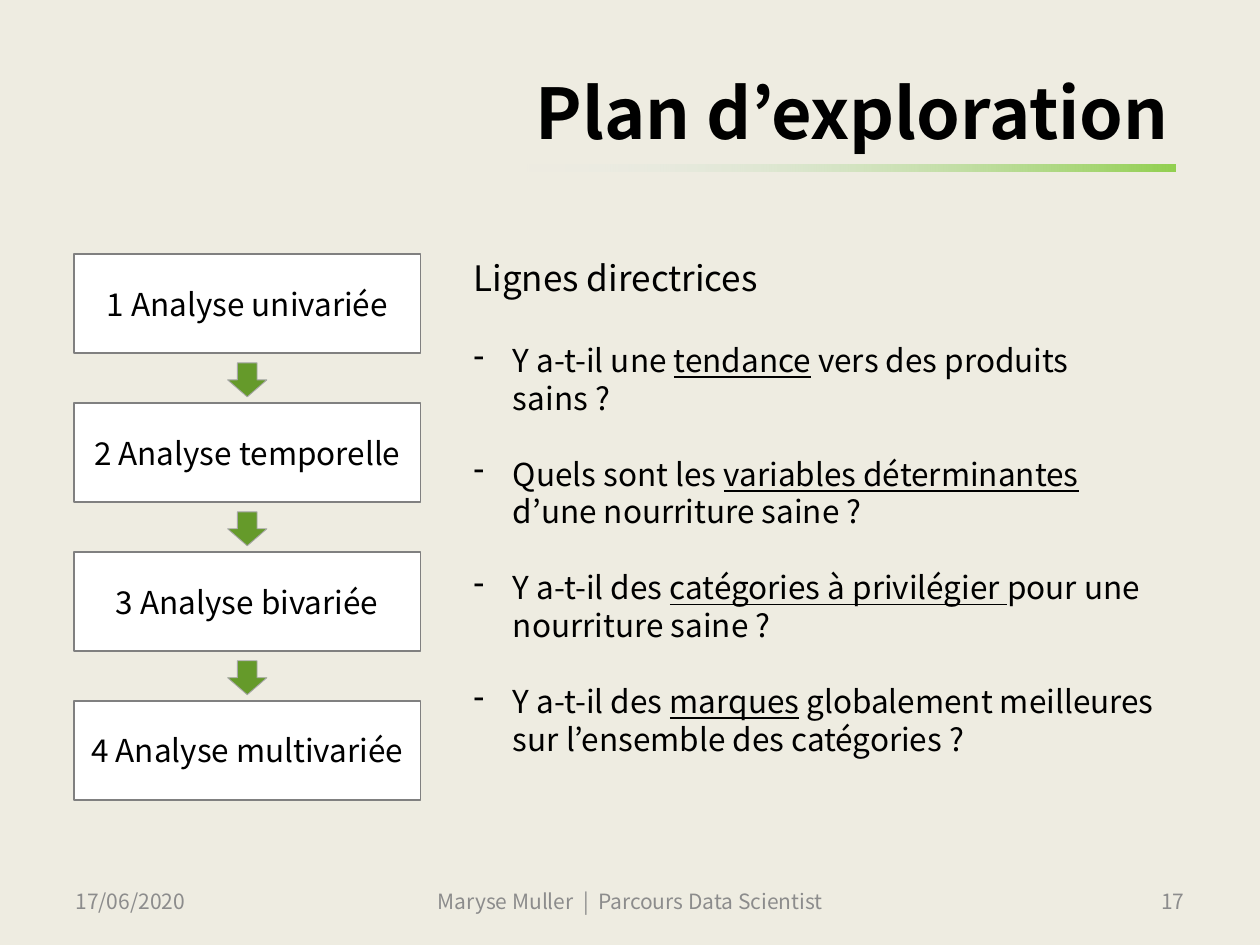
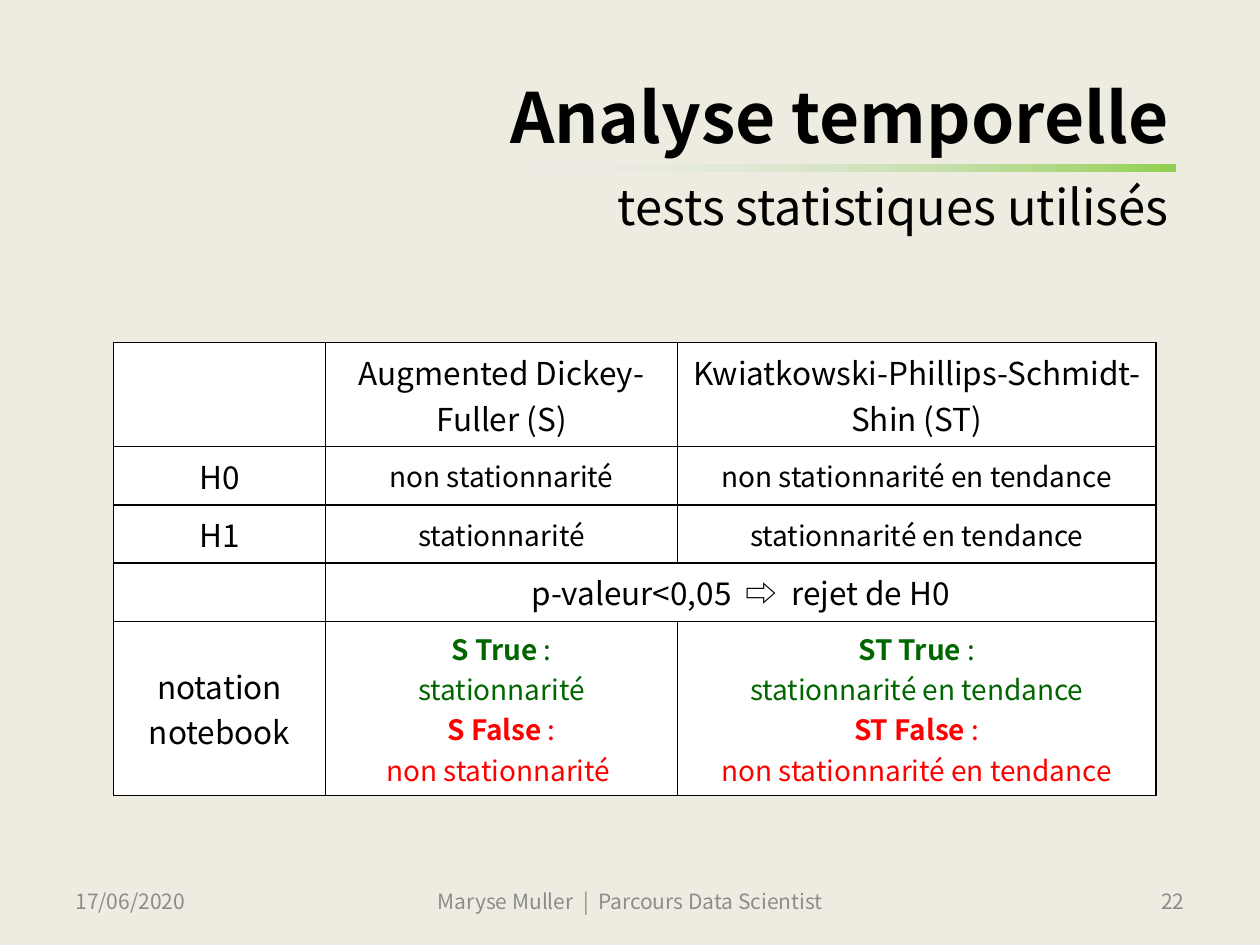
"""Build two slides on the exploration plan and the tests for time series."""
from dataclasses import dataclass
from typing import Any, Sequence

from pptx import Presentation
from pptx.dml.color import RGBColor
from pptx.enum.shapes import MSO_SHAPE as Form
from pptx.enum.text import MSO_ANCHOR as Anchor, PP_ALIGN as Align
from pptx.oxml.ns import qn
from pptx.slide import Slide
from pptx.util import Pt
from lxml.etree import SubElement as Sub

FONT = "Noto Sans CJK JP"
BLACK = RGBColor(0x00, 0x00, 0x00)
WHITE = RGBColor(0xFF, 0xFF, 0xFF)
CREAM = RGBColor(0xEE, 0xEC, 0xE1)
MUTED = RGBColor(0x8C, 0x8C, 0x8C)
GREY = RGBColor(0x80, 0x80, 0x80)
SILVER = RGBColor(0xA6, 0xA6, 0xA6)
LIME = RGBColor(0x92, 0xD0, 0x50)
PALE = RGBColor(0xE1, 0xE8, 0xF5)
LEAF = RGBColor(0x65, 0x9A, 0x2A)
GREEN = RGBColor(0x00, 0x66, 0x00)
RED = RGBColor(0xFF, 0x00, 0x00)


@dataclass(frozen=True)
class Bit:
    """A run of text and its look."""
    text: str
    size: float = 18
    color: RGBColor = BLACK
    bold: bool = False
    under: bool = False


@dataclass(frozen=True)
class Line:
    """A paragraph made of runs."""
    bits: Sequence[Bit]
    align: Any = Align.CENTER
    before: float = 0
    dash: bool = False


@dataclass(frozen=True)
class Box:
    """A frame on the slide, in points."""
    left: float
    top: float
    width: float
    height: float

    def place(self) -> list:
        """Return the frame as lengths."""
        return [Pt(v) for v in (self.left, self.top, self.width, self.height)]


RULE = Box(301, 94.3, 371, 4)
BODY = Box(263.5, 143.3, 408.5, 273.6)
GRID = Box(65, 195.8, 595.6, 259)
STEP = Box(42.3, 145.1, 198, 56.8)
ARROW = Box(130.1, 207.4, 22.4, 19.4)
PITCH = 85.1
COLS = (121, 201.2, 273.4)
ROWS = (59.4, 33.3, 33.3, 33.3, 99.5)
FOOT = (
    (Box(36, 500.5, 168, 28.8), Align.LEFT),
    (Box(227, 500.5, 266.4, 28.8), Align.CENTER),
    (Box(516, 500.5, 168, 28.8), Align.RIGHT),
)

STEPS = ("1 Analyse univariée", "2 Analyse temporelle",
         "3 Analyse bivariée", "4 Analyse multivariée")
ASKS = (
    ("Y a-t-il une ", "tendance", " vers des produits sains ?"),
    ("Quels sont les ", "variables déterminantes ", "d’une nourriture saine ?"),
    ("Y a-t-il des ", "catégories à privilégier ", "pour une nourriture saine ?"),
    ("Y a-t-il des ", "marques",
     " globalement meilleures sur l’ensemble des catégories ?"),
)


def write(frame: Any, lines: Sequence[Line]) -> None:
    """Fill a text frame with lines, run by run."""
    frame.word_wrap = True
    for i, line in enumerate(lines):
        para = frame.add_paragraph() if i else frame.paragraphs[0]
        para.alignment = line.align
        if line.before:
            para.space_before = Pt(line.before)
        if line.dash:
            prop = para._p.get_or_add_pPr()
            prop.set("marL", str(Pt(22.5)))
            prop.set("indent", str(Pt(-22.5)))
            Sub(prop, qn("a:buChar")).set("char", "-")
        for bit in line.bits:
            run = para.add_run()
            run.text = bit.text
            font = run.font
            font.name, font.size = FONT, Pt(bit.size)
            font.bold, font.underline = bit.bold, bit.under
            font.color.rgb = bit.color


def label(slide: Slide, box: Box, lines: Sequence[Line],
          anchor: Any = Anchor.MIDDLE) -> None:
    """Add a text box."""
    frame = slide.shapes.add_textbox(*box.place()).text_frame
    frame.vertical_anchor = anchor
    write(frame, lines)


def block(slide: Slide, form: Any, box: Box, fill: RGBColor,
          edge: RGBColor, width: float) -> Any:
    """Add a filled shape with an outline."""
    shape = slide.shapes.add_shape(form, *box.place())
    shape.shadow.inherit = False
    shape.fill.solid()
    shape.fill.fore_color.rgb = fill
    shape.line.color.rgb = edge
    shape.line.width = Pt(width)
    return shape


def rule(slide: Slide) -> None:
    """Add the fading rule under the title."""
    bar = slide.shapes.add_shape(Form.RECTANGLE, *RULE.place())
    bar.shadow.inherit = False
    bar.line.fill.background()
    bar.fill.gradient()
    bar.fill.gradient_angle = 180
    for stop, color in zip(bar.fill.gradient_stops, (LIME, PALE)):
        stop.color.rgb = color
    last = bar._element.spPr.findall(".//" + qn("a:srgbClr"))[-1]
    Sub(last, qn("a:alpha")).set("val", "0")


def base(deck: Any, box: Box, title: Sequence[Line], page: str) -> Slide:
    """Add a slide with its ground, title, rule and footer."""
    slide = deck.slides.add_slide(deck.slide_layouts[6])
    slide.background.fill.solid()
    slide.background.fill.fore_color.rgb = CREAM
    label(slide, box, title)
    foot = ("17/06/2020", "Maryse Muller  |  Parcours Data Scientist", page)
    for (spot, align), text in zip(FOOT, foot):
        label(slide, spot, [Line([Bit(text, 12, MUTED)], align)])
    rule(slide)
    return slide


def plan(deck: Any) -> None:
    """Build the slide with the steps and the guiding questions."""
    title = [Line([Bit("Plan d’exploration", 40, bold=True)], Align.RIGHT)]
    slide = base(deck, Box(56.2, 21.6, 618.5, 84.2), title, "17")
    lines = [Line([Bit("Lignes directrices", 20)], Align.LEFT)]
    for i, (head, key, tail) in enumerate(ASKS):
        bits = [Bit(head), Bit(key, under=True), Bit(tail)]
        lines.append(Line(bits, Align.LEFT, 21.7 if i else 24, True))
    label(slide, BODY, lines, Anchor.TOP)
    for i, text in enumerate(STEPS):
        box = Box(STEP.left, STEP.top + i * PITCH, STEP.width, STEP.height)
        shape = block(slide, Form.RECTANGLE, box, WHITE, GREY, 1)
        shape.text_frame.vertical_anchor = Anchor.MIDDLE
        write(shape.text_frame, [Line([Bit(text)])])
    for i in range(len(STEPS) - 1):
        box = Box(ARROW.left, ARROW.top + i * PITCH, ARROW.width, ARROW.height)
        block(slide, Form.DOWN_ARROW, box, LEAF, SILVER, 0.5)


def plain(text: str, size: float = 18) -> list[Line]:
    """Return one centred line."""
    return [Line([Bit(text, size)])] if text else []


def result(mark: str, yes: str, no: str) -> list[Line]:
    """Return the notes for a test that holds or fails."""
    lines = []
    for word, text, color in (("True", yes, GREEN), ("False", no, RED)):
        lines.append(Line([Bit(f"{mark} {word}", 16, color, True),
                           Bit(" :", 16, color)]))
        lines.append(Line([Bit(text, 16, color)]))
    return lines


def style(cell: Any) -> None:
    """Give a cell its borders and fill."""
    prop = cell._tc.get_or_add_tcPr()
    for side in ("lnL", "lnR", "lnT", "lnB"):
        edge = Sub(prop, qn(f"a:{side}"))
        edge.set("w", str(Pt(1)))
        Sub(Sub(edge, qn("a:solidFill")), qn("a:srgbClr")).set("val", str(BLACK))
    cell.fill.solid()
    cell.fill.fore_color.rgb = WHITE
    cell.vertical_anchor = Anchor.MIDDLE


def tests(deck: Any) -> None:
    """Build the slide with the table of tests."""
    title = [
        Line([Bit("Analyse temporelle", 39.6, bold=True)], Align.RIGHT),
        Line([Bit("tests statistiques utilisés", 27.9)], Align.RIGHT, 11.1),
    ]
    slide = base(deck, Box(56.2, 35, 618.5, 106.6), title, "22")
    still, trend = "stationnarité", "stationnarité en tendance"
    cells = (
        (plain(""), plain("Augmented Dickey-Fuller (S)"),
         plain("Kwiatkowski-Phillips-Schmidt-Shin (ST)")),
        (plain("H0"), plain(f"non {still}", 16), plain(f"non {trend}", 16)),
        (plain("H1"), plain(still, 16), plain(trend, 16)),
        (plain(""), plain("p-valeur<0,05  ⇨  rejet de H0"), plain("")),
        (plain("notation notebook"), result("S", still, f"non {still} "),
         result("ST", trend, f"non {trend}")),
    )
    table = slide.shapes.add_table(len(ROWS), len(COLS), *GRID.place()).table
    for col, width in zip(table.columns, COLS):
        col.width = Pt(width)
    for row, height in zip(table.rows, ROWS):
        row.height = Pt(height)
    table.cell(3, 1).merge(table.cell(3, 2))
    for r, row in enumerate(cells):
        for c, lines in enumerate(row):
            cell = table.cell(r, c)
            style(cell)
            write(cell.text_frame, lines)


def main() -> None:
    """Build and save the deck."""
    deck = Presentation()
    deck.slide_width, deck.slide_height = Pt(720), Pt(540)
    plan(deck)
    tests(deck)
    deck.save("out.pptx")


if __name__ == "__main__":
    main()
